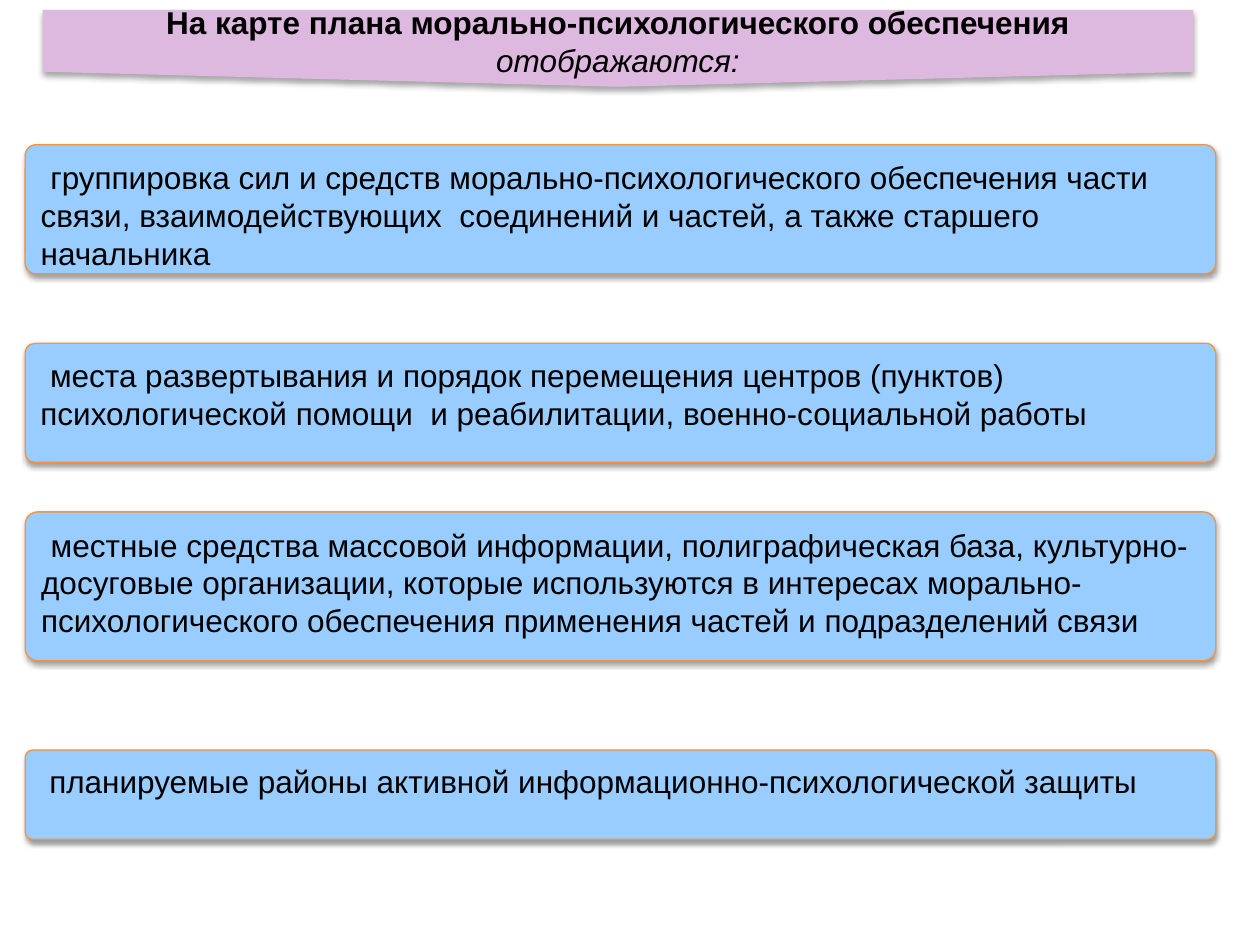
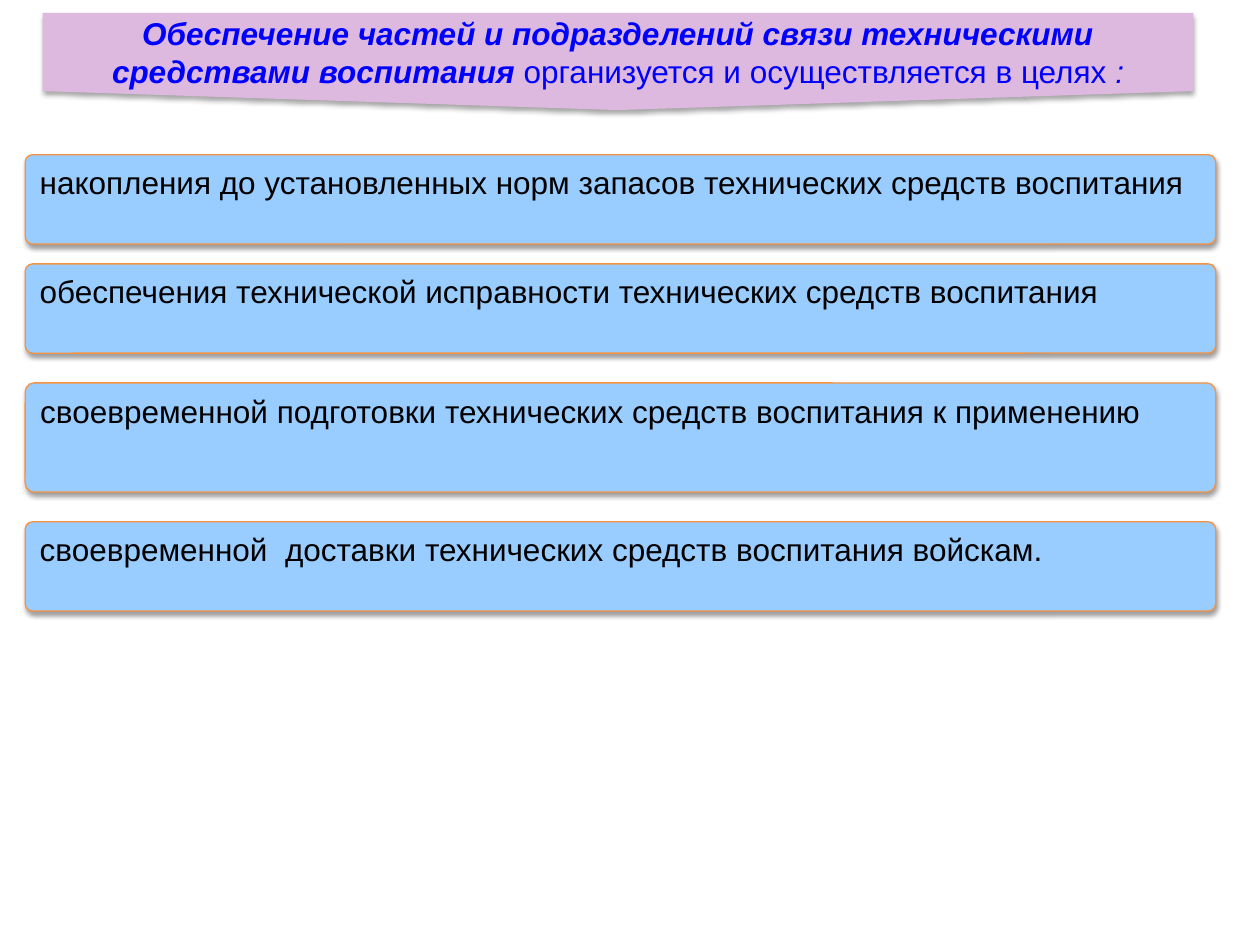
from lxml import etree
from pptx import Presentation
from pptx.dml.color import RGBColor as Rgb
from pptx.enum.shapes import MSO_SHAPE as Geometry
from pptx.enum.text import MSO_ANCHOR as Anchor, PP_ALIGN as Align
from pptx.oxml.ns import qn
from pptx.util import Inches, Mm, Pt

COLORS = {
    "banner": "DEB9DF",
    "card": "99CCFF",
    "edge": "F69240",
    "ink": "000000",
    "accent": "0000FF",
    "shadow": "000000",
}
FONT, TEXT_SIZE = "Arial", 18
CELL = Mm(2)
BANNER_LEFT, BANNER_COLS = 4.3, 116
CARD_LEFT, CARD_COLS = 2.54, 120

MAP_CONTENT = {
    "banner": (1, 7.75),
    "banner_color": "ink",
    "title": [
        ("На карте плана морально-психологического обеспечения ", True, False),
        ("отображаются:", False, True),
    ],
    "first_row": 14.6,
    "indent": Pt(5.5),
    "top_inset": Inches(0.08),
    "cards": [
        (13, 7, "группировка сил и средств морально-психологического обеспечения части "
                "связи, взаимодействующих  соединений и частей, а также старшего начальника"),
        (12, 5, "места развертывания и порядок перемещения центров (пунктов) "
                "психологической помощи  и реабилитации, военно-социальной работы"),
        (15, 9, "местные средства массовой информации, полиграфическая база, "
                "культурно-досуговые организации, которые используются в интересах "
                "морально-психологического обеспечения применения частей и "
                "подразделений связи"),
        (9, 0, "планируемые районы активной информационно-психологической защиты"),
    ],
}
SUPPLY_GOALS = {
    "banner": (1.3, 9.8),
    "banner_color": "accent",
    "title": [
        ("Обеспечение частей и подразделений связи техническими "
         "средствами воспитания ", True, True),
        ("организуется и осуществляется в целях ", False, False),
        (":", False, True),
    ],
    "first_row": 15.6,
    "indent": 0,
    "top_inset": Inches(0.05),
    "cards": [
        (9, 2, "накопления до установленных норм запасов технических средств воспитания"),
        (9, 3, "обеспечения технической исправности технических средств воспитания"),
        (11, 3, "своевременной подготовки технических средств воспитания к применению"),
        (9, 0, "своевременной  доставки технических средств воспитания войскам."),
    ],
}


def add_shadow(shape, opacity, distance):
    """Give the shape a soft shadow that falls straight down."""
    shape.shadow.inherit = False
    effects = shape._element.spPr.find(qn("a:effectLst"))
    shadow = etree.SubElement(
        effects, qn("a:outerShdw"), blurRad=str(Pt(3.1)), dist=str(Pt(distance)),
        dir="5400000", rotWithShape="0")
    color = etree.SubElement(shadow, qn("a:srgbClr"), val=COLORS["shadow"])
    etree.SubElement(color, qn("a:alpha"), val=str(opacity * 1000))


def add_panel(slide, geometry, box, fill):
    """Add a filled, wrapping shape in a box given in grid cells."""
    panel = slide.shapes.add_shape(geometry, *(round(side * CELL) for side in box))
    panel.fill.solid()
    panel.fill.fore_color.rgb = Rgb.from_string(COLORS[fill])
    panel.text_frame.word_wrap = True
    return panel


def style_paragraph(paragraph, align, color):
    """Set the alignment and the shared font of a paragraph."""
    paragraph.alignment = align
    paragraph.font.name = FONT
    paragraph.font.size = Pt(TEXT_SIZE)
    paragraph.font.color.rgb = Rgb.from_string(COLORS[color])


def add_banner(slide, box, title, color):
    """Place the title banner with its pointed lower edge."""
    banner = add_panel(slide, Geometry.DOWN_ARROW, box, "banner")
    banner.adjustments[0], banner.adjustments[1] = 1, 0.195
    banner.line.fill.background()
    add_shadow(banner, 35, 1.8)
    banner.text_frame.vertical_anchor = Anchor.MIDDLE
    heading = banner.text_frame.paragraphs[0]
    style_paragraph(heading, Align.CENTER, color)
    for words, bold, italic in title:
        phrase = heading.add_run()
        phrase.text = words
        phrase.font.bold, phrase.font.italic = bold, italic


def add_card(slide, box, statement, indent, top_inset):
    """Place one rounded card holding a statement."""
    card = add_panel(slide, Geometry.ROUNDED_RECTANGLE, box, "card")
    card.adjustments[0] = 0.083
    card.line.color.rgb = Rgb.from_string(COLORS["edge"])
    card.line.width = Pt(0.75)
    add_shadow(card, 38, 1.6)
    card.text_frame.vertical_anchor = Anchor.TOP
    card.text_frame.margin_top = top_inset
    body = card.text_frame.paragraphs[0]
    body.text = statement
    body._p.get_or_add_pPr().set("indent", str(indent))
    style_paragraph(body, Align.LEFT, "ink")


def add_list_slide(deck, content):
    """Build a slide with a banner above a column of cards."""
    slide = deck.slides.add_slide(deck.slide_layouts[6])
    top, rows = content["banner"]
    add_banner(slide, (BANNER_LEFT, top, BANNER_COLS, rows),
               content["title"], content["banner_color"])
    row = content["first_row"]
    for height, gap, statement in content["cards"]:
        add_card(slide, (CARD_LEFT, row, CARD_COLS, height), statement,
                 content["indent"], content["top_inset"])
        row += height + gap


def main():
    """Build and save the deck."""
    deck = Presentation()
    deck.slide_width, deck.slide_height = Inches(10), Inches(7.5)
    for content in (MAP_CONTENT, SUPPLY_GOALS):
        add_list_slide(deck, content)
    deck.save("out.pptx")


if __name__ == "__main__":
    main()
